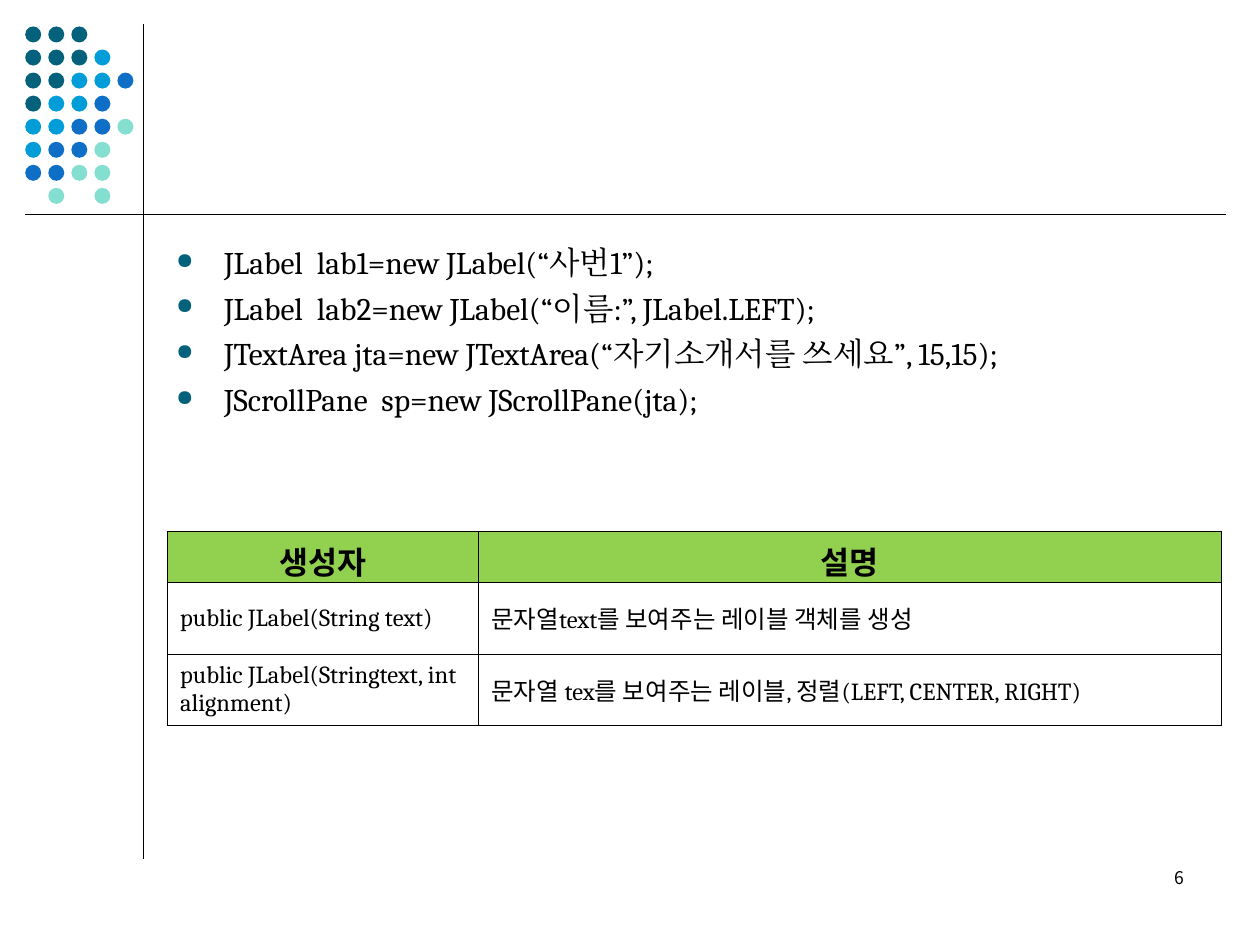
from lxml.etree import SubElement
from pptx import Presentation
from pptx.dml.color import RGBColor as Color
from pptx.enum.shapes import MSO_CONNECTOR as Connector, MSO_SHAPE as Preset
from pptx.enum.text import MSO_ANCHOR as Anchor, PP_ALIGN as Align
from pptx.oxml import parse_xml
from pptx.oxml.ns import nsdecls, qn
from pptx.util import Inches, Pt

COLORS = {"ink": "000000", "paper": "FFFFFF", "header": "92D050",
          "T": "04617B", "S": "009DD9", "B": "0F6FC6", "M": "85DFD0"}
SERIF, SANS = "Cambria", "Noto Sans CJK KR"
COLUMNS, ROWS = 100, 75
DOTS = ["TTT", "TTTS", "TTSSB", "TSSB", "SSBBM", "SBBM", "BBMM", " M M"]
CODE = ["JLabel  lab1=new JLabel(“사번1”);",
        "JLabel  lab2=new JLabel(“이름:”, JLabel.LEFT);",
        "JTextArea jta=new JTextArea(“자기소개서를 쓰세요”, 15,15);",
        "JScrollPane  sp=new JScrollPane(jta);"]
CONSTRUCTORS = [
    ["생성자", "설명"],
    ["public JLabel(String text)", "문자열text를 보여주는 레이블 객체를 생성"],
    ["public JLabel(Stringtext, int alignment)",
     "문자열 tex를 보여주는 레이블, 정렬(LEFT, CENTER, RIGHT)"]]


def grid(*cells):
    """Turn grid columns or rows into slide lengths."""
    return [Inches(cell / 10) for cell in cells]


def color(name):
    """Look up a named colour."""
    return Color.from_string(COLORS[name])


def style(para, size, latin, asian, bold=False):
    """Format every run of a paragraph."""
    for span in para.runs:
        font = span.font
        font.size, font.bold, font.name = Pt(size), bold, latin
        font.color.rgb = color("ink")
        latin_tag = font._element.find(qn("a:latin"))
        latin_tag.addnext(parse_xml(f'<a:ea {nsdecls("a")} typeface="{asian}"/>'))


def add_rule(page, start, end):
    """Draw a thin straight rule between two grid points."""
    rule = page.shapes.add_connector(Connector.STRAIGHT, *grid(*start, *end))
    rule.line.color.rgb = color("ink")
    rule.line.width = Pt(0.75)
    SubElement(rule._element.spPr, qn("a:effectLst"))


def add_dots(page, left, top, pitch, size):
    """Lay out the coloured dot pattern from its top left corner."""
    for row, marks in enumerate(DOTS):
        for column, mark in enumerate(marks):
            if mark == " ":
                continue
            dot = page.shapes.add_shape(Preset.OVAL, *grid(
                left + column * pitch, top + row * pitch, size, size))
            dot.shadow.inherit = False
            dot.fill.solid()
            dot.fill.fore_color.rgb = color(mark)
            dot.line.fill.background()


def add_bullet(para):
    """Give a paragraph a hanging round bullet."""
    props = para._p.get_or_add_pPr()
    props.set("marL", str(Inches(0.38)))
    props.set("indent", str(-Inches(0.38)))
    tint = SubElement(props, qn("a:buClr"))
    SubElement(tint, qn("a:srgbClr"), val=COLORS["T"])
    SubElement(props, qn("a:buSzPct"), val="70000")
    SubElement(props, qn("a:buChar"), char="●")


def add_code(page, box):
    """Write the bulleted code lines in the box."""
    frame = page.shapes.add_textbox(*grid(*box)).text_frame
    frame.word_wrap = True
    frame.text = "\n".join(CODE)
    for index, para in enumerate(frame.paragraphs):
        add_bullet(para)
        if index:
            para.space_before = Pt(4.5)
        style(para, 18, SERIF, SERIF)


def add_number(page, box, number):
    """Write the page number at the right of the box."""
    frame = page.shapes.add_textbox(*grid(*box)).text_frame
    frame.word_wrap = True
    frame.text = number
    para = frame.paragraphs[0]
    para.alignment = Align.RIGHT
    style(para, 10, SANS, SANS)


def add_borders(cell):
    """Outline a table cell on all four sides."""
    props = cell._tc.get_or_add_tcPr()
    for index, side in enumerate("LRTB"):
        props.insert(index, parse_xml(
            f'<a:ln{side} {nsdecls("a")} w="{Pt(0.45)}"><a:solidFill>'
            f'<a:srgbClr val="{COLORS["ink"]}"/></a:solidFill></a:ln{side}>'))


def add_constructors(page, box, widths, heights):
    """Build the constructor table in the box."""
    table = page.shapes.add_table(len(heights), len(widths), *grid(*box)).table
    for column, width in zip(table.columns, grid(*widths)):
        column.width = width
    for row, height in zip(table.rows, grid(*heights)):
        row.height = height
    for index, texts in enumerate(CONSTRUCTORS):
        heading = index == 0
        for column, text in enumerate(texts):
            cell = table.cell(index, column)
            cell.text = text
            cell.vertical_anchor = Anchor.MIDDLE
            cell.fill.solid()
            cell.fill.fore_color.rgb = color("header" if heading else "paper")
            add_borders(cell)
            para = cell.text_frame.paragraphs[0]
            para.alignment = Align.CENTER if heading else Align.LEFT
            style(para, 18 if heading else 14, SERIF, SANS, heading)


def main():
    """Build the slide and save the deck."""
    deck = Presentation()
    deck.slide_width, deck.slide_height = grid(COLUMNS, ROWS)
    page = deck.slides.add_slide(deck.slide_layouts[6])
    add_rule(page, (11.4, 1.9), (11.4, 68.2))
    add_dots(page, 2, 2.1, 1.83, 1.27)
    add_rule(page, (2, 17), (97.3, 17))
    add_code(page, (13, 18.8, 82, 48.2))
    add_number(page, (71.7, 68.3, 23.3, 5), "6")
    add_constructors(page, (13.3, 42.2, 83.6, 15.4), (24.7, 58.9), (4, 5.7, 5.7))
    deck.save("out.pptx")


if __name__ == "__main__":
    main()
